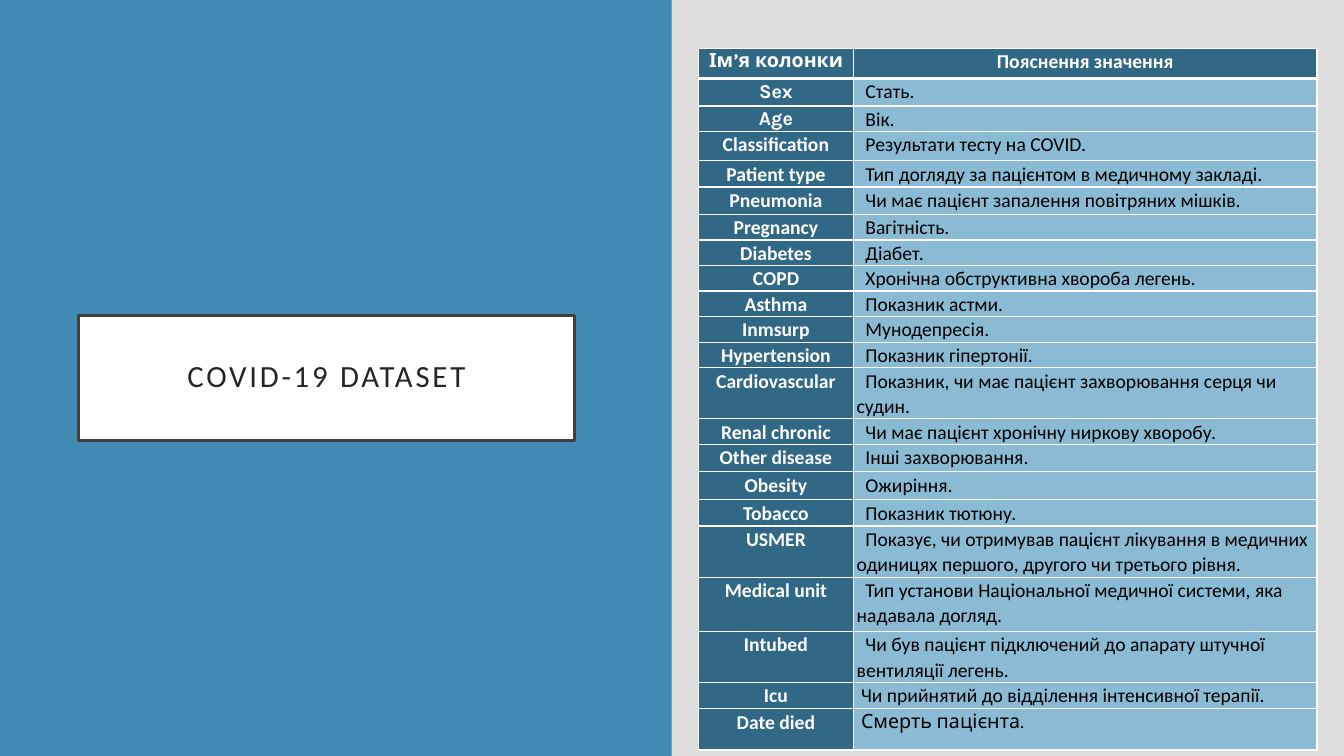
from lxml.etree import SubElement
from pptx import Presentation
from pptx.dml.color import RGBColor
from pptx.enum.shapes import MSO_SHAPE
from pptx.enum.text import MSO_ANCHOR, PP_ALIGN
from pptx.oxml.ns import qn
from pptx.util import Cm, Pt

HEADING = "COVID-19 DATASET"
HEADERS = ("Ім’я колонки", "Пояснення значення")
FIELDS = [
    ("Sex", "Стать.", 0.69),
    ("Age", "Вік.", 0.56),
    ("Classification", "Результати тесту на COVID.", 0.74),
    ("Patient type", "Тип догляду за пацієнтом в медичному закладі.", 0.66),
    ("Pneumonia", "Чи має пацієнт запалення повітряних мішків.", 0.69),
    ("Pregnancy", "Вагітність.", 0.61),
    ("Diabetes", "Діабет.", 0.56),
    ("COPD", "Хронічна обструктивна хвороба легень.", 0.51),
    ("Asthma", "Показник астми.", 0.51),
    ("Inmsurp", "Мунодепресія.", 0.51),
    ("Hypertension", "Показник гіпертонії.", 0.51),
    ("Cardiovascular", "Показник, чи має пацієнт захворювання серця чи судин.", 0.64),
    ("Renal chronic", "Чи має пацієнт хронічну ниркову хворобу.", 0.61),
    ("Other disease", "Інші захворювання.", 0.69),
    ("Obesity", "Ожиріння.", 0.71),
    ("Tobacco", "Показник тютюну.", 0.66),
    ("USMER", "Показує, чи отримував пацієнт лікування в медичних одиницях "
              "першого, другого чи третього рівня.", 1.19),
    ("Medical unit", "Тип установи Національної медичної системи, яка надавала догляд.", 1.37),
    ("Intubed", "Чи був пацієнт підключений до апарату штучної вентиляції легень.", 1.24),
    ("Icu", "Чи прийнятий до відділення інтенсивної терапії.", 0.66),
    ("Date died", "Смерть пацієнта.", 1.04),
]
KARLA_TEXTS = {"Ім’я колонки", "Sex", "Age", "Смерть пацієнта."}
NARROW_INDENT = {"Icu", "Date died"}
HEADER_HEIGHT = 0.76
COLUMN_WIDTHS = (3.91, 11.68)

NAME_FORMAT = {"size": Pt(14), "bold": True}
MEANING_FORMAT = {"size": Pt(14), "bold": False}
HEADING_FORMAT = {"size": Pt(22), "bold": False, "name": "Calibri"}
CELL_MARGINS = {"margin_left": Cm(0.08), "margin_right": Cm(0.08),
                "margin_top": 0, "margin_bottom": 0}
HEADING_FRAME = {"word_wrap": True, "vertical_anchor": MSO_ANCHOR.MIDDLE,
                 "margin_left": Cm(0.5), "margin_right": Cm(0.5),
                 "margin_top": Cm(0.5), "margin_bottom": Cm(0.5)}


def apply(target, values):
    for key, value in values.items():
        setattr(target, key, value)


def paint(fill_or_font, hex_color):
    if hasattr(fill_or_font, "solid"):
        fill_or_font.solid()
        fill_or_font.fore_color.rgb = RGBColor.from_string(hex_color)
    else:
        fill_or_font.color.rgb = RGBColor.from_string(hex_color)


def write(paragraph, text, font_format, hex_color, spacing, align):
    apply(paragraph, {"line_spacing": spacing, "alignment": align})
    run = paragraph.add_run()
    run.text = text
    apply(run.font, font_format)
    paint(run.font, hex_color)
    return run


def add_panel(slide, left, top, width, height, hex_color):
    panel = slide.shapes.add_shape(MSO_SHAPE.RECTANGLE, Cm(left), Cm(top), Cm(width), Cm(height))
    panel.shadow.inherit = False
    paint(panel.fill, hex_color)
    panel.line.fill.background()
    return panel


def add_borders(cell, widths):
    properties = cell._tc.get_or_add_tcPr()
    for side, width in zip("LRTB", widths):
        border = SubElement(properties, qn(f"a:ln{side}"), w=str(Pt(width)))
        SubElement(SubElement(border, qn("a:solidFill")), qn("a:srgbClr"), val="FFFFFF")


def fill_cell(cell, text, is_name, centred, indent, border_widths):
    add_borders(cell, border_widths)
    apply(cell, CELL_MARGINS)
    paint(cell.fill, "316886" if centred else "8ABAD4")
    font_format = dict(NAME_FORMAT if centred else MEANING_FORMAT,
                       name="Karla" if text in KARLA_TEXTS else "Calibri")
    paragraph = cell.text_frame.paragraphs[0]
    write(paragraph, text, font_format, "FFFFFF" if centred else "000000", 1.07,
          PP_ALIGN.CENTER if centred else PP_ALIGN.LEFT)
    if not centred:
        paragraph._p.get_or_add_pPr().set("indent", str(Cm(indent)))


def add_fields(slide):
    rows = [(*HEADERS, HEADER_HEIGHT), *FIELDS]
    total_height = sum(height for _, _, height in rows)
    fields = slide.shapes.add_table(len(rows), 2, Cm(17.6), Cm(1.22),
                                    Cm(sum(COLUMN_WIDTHS)), Cm(total_height)).table
    apply(fields, {"first_row": False, "horz_banding": False})
    for column, width in zip(fields.columns, COLUMN_WIDTHS):
        column.width = Cm(width)
    for index, (name, meaning, height) in enumerate(rows):
        fields.rows[index].height = Cm(height)
        indent = 0.11 if name in NARROW_INDENT else 0.22
        borders = (1, 1, 3 if index == 1 else 1, 3 if index == 0 else 1)
        for position, text in enumerate((name, meaning)):
            is_name = position == 0
            fill_cell(fields.cell(index, position), text, is_name,
                      is_name or index == 0, indent, borders)


def add_heading(slide):
    heading = add_panel(slide, 1.98, 7.95, 12.5, 3.15, "FFFFFF")
    paint(heading.line.fill, "404040")
    heading.line.width = Pt(2.5)
    apply(heading.text_frame, HEADING_FRAME)
    run = write(heading.text_frame.paragraphs[0], HEADING, HEADING_FORMAT,
                "262626", 0.9, PP_ALIGN.CENTER)
    run._r.get_or_add_rPr().set("spc", "200")


def main():
    deck = Presentation()
    apply(deck, {"slide_width": Cm(33.87), "slide_height": Cm(19.05)})
    slide = deck.slides.add_slide(deck.slide_layouts[6])
    paint(slide.background.fill, "DDDDDD")
    add_panel(slide, 0, 0, 16.93, 19.05, "418AB3")
    add_heading(slide)
    add_fields(slide)
    deck.save("out.pptx")


if __name__ == "__main__":
    main()
